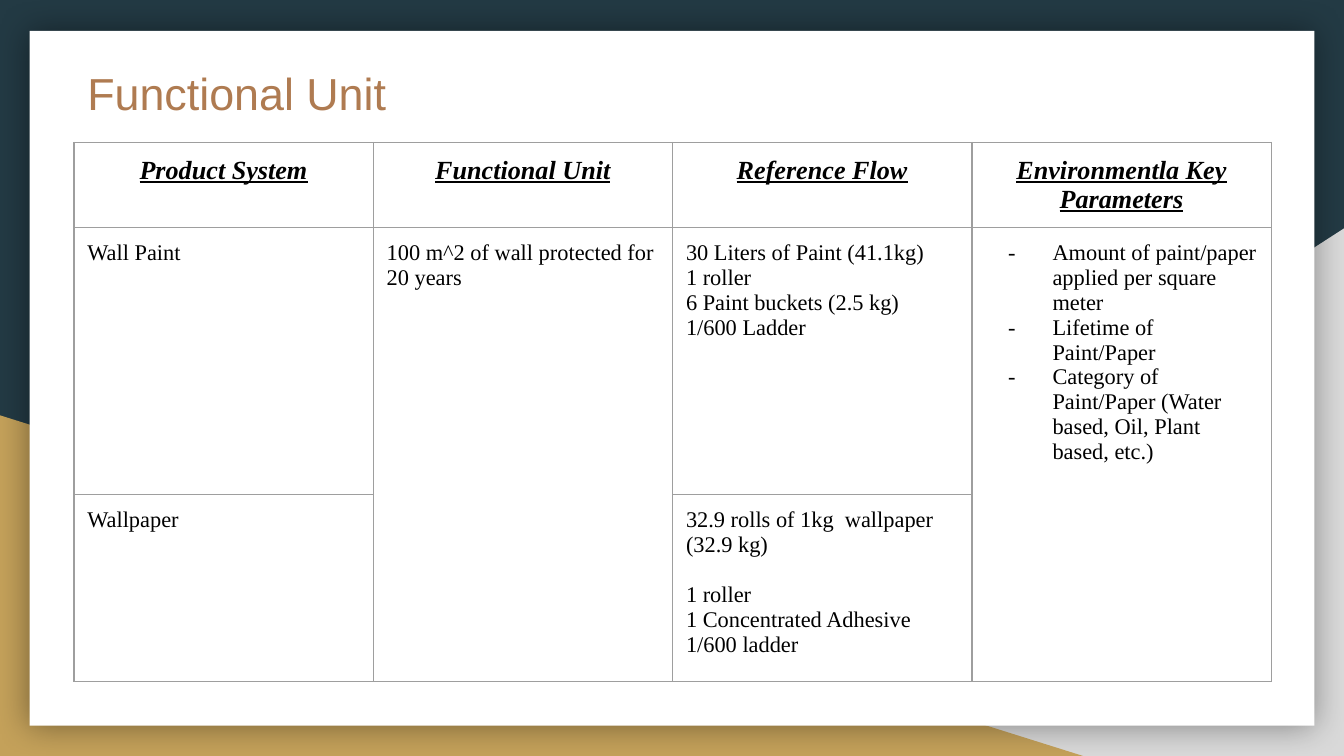
from lxml import etree
from pptx import Presentation
from pptx import util as u
from pptx.dml.color import RGBColor
from pptx.enum import shapes, text
from pptx.oxml import parse_xml
from pptx.oxml.ns import nsdecls, qn

HUES = {"back": "233A44", "gray": "D9D9D9", "gold": "C4A15A", "page": "FFFFFF",
        "title": "AF7B51", "ink": "000000", "rule": "9E9E9E"}
WIDE = 10
HIGH = WIDE * 9 / 16
COLS, ROWS = [8.91 / 4] * 4, [0.63, 1.99, 1.39]
PAD = u.Inches(0.1)
SERIF = "Times New Roman"
HEADS = ["Product System", "Functional Unit", "Reference Flow",
         "Environmentla Key Parameters"]
BODY = [
    [["Wall Paint"],
     ["100 m^2 of wall protected for 20 years"],
     ["30 Liters of Paint (41.1kg)", "1 roller", "6 Paint buckets (2.5 kg)",
      "1/600 Ladder"],
     ["Amount of paint/paper applied per square meter",
      "Lifetime of Paint/Paper",
      "Category of Paint/Paper (Water based, Oil, Plant based, etc.)"]],
    [["Wallpaper"],
     [],
     ["32.9 rolls of 1kg  wallpaper (32.9 kg)", "1 roller",
      "1 Concentrated Adhesive", "1/600 ladder"],
     []],
]
OPEN = (1, 3)  # columns whose two body cells have no rule between them


def rgb(name):
    return RGBColor.from_string(HUES[name])


def dash(para):
    """Give the paragraph a hanging dash bullet."""
    props = para._p.get_or_add_pPr()
    props.set("marL", str(u.Inches(0.5)))
    props.set("indent", str(u.Inches(-0.33)))
    hue = etree.SubElement(props, qn("a:buClr"))
    etree.SubElement(hue, qn("a:srgbClr"), val=HUES["ink"])
    etree.SubElement(props, qn("a:buFont"), typeface=SERIF)
    etree.SubElement(props, qn("a:buChar"), char="-")


def write(frame, lines, size=12, face=SERIF, hue="ink",
          head=False, dashed=False, align=None):
    for i, line in enumerate(lines):
        para = frame.paragraphs[0] if i == 0 else frame.add_paragraph()
        if dashed:
            dash(para)
        if align is not None:
            para.alignment = align
        run = para.add_run()
        run.text = line
        font = run.font
        font.size, font.name = u.Pt(size), face
        font.color.rgb = rgb(hue)
        font.bold = font.italic = font.underline = head


def block(slide, kind, box, hue, flip=False):
    shape = slide.shapes.add_shape(kind, *map(u.Inches, box))
    shape.shadow.inherit = False
    shape.fill.solid()
    shape.fill.fore_color.rgb = rgb(hue)
    shape.line.fill.background()
    if flip:
        shape._element.spPr.find(qn("a:xfrm")).set("flipH", "1")
    return shape


def glow(shape):
    """Add a soft shadow on all sides."""
    effects = shape._element.spPr.find(qn("a:effectLst"))
    effects.append(parse_xml(
        f'<a:outerShdw {nsdecls("a")} blurRad="{u.Pt(18)}" dist="0" algn="ctr" rotWithShape="0">'
        f'<a:srgbClr val="{HUES["ink"]}"><a:alpha val="40000"/></a:srgbClr></a:outerShdw>'))


def edge(cell, skip=""):
    """Rule the four sides of a cell, save the skipped one."""
    props = cell._tc.get_or_add_tcPr()
    for side in "LRTB":
        line = etree.SubElement(props, qn(f"a:ln{side}"), w=str(u.Pt(0.75)))
        if side == skip:
            etree.SubElement(line, qn("a:noFill"))
        else:
            fill = etree.SubElement(line, qn("a:solidFill"))
            etree.SubElement(fill, qn("a:srgbClr"), val=HUES["rule"])


def backdrop(slide):
    fill = slide.background.fill
    fill.solid()
    fill.fore_color.rgb = rgb("back")
    kind = shapes.MSO_SHAPE
    block(slide, kind.RIGHT_TRIANGLE, (3.92, 1.7, WIDE - 3.92, HIGH - 1.7), "gray", flip=True)
    block(slide, kind.RIGHT_TRIANGLE, (0, 3.09, 8.06, HIGH - 3.09), "gold")
    glow(block(slide, kind.RECTANGLE, (0.22, 0.23, WIDE - 0.44, 5.17), "page"))


def heading(slide, words):
    title = slide.shapes.title
    title.left, title.top, title.width, title.height = map(u.Inches, (0.55, 0.39, 9.15, 0.75))
    frame = title.text_frame
    frame.margin_left = frame.margin_right = frame.margin_top = frame.margin_bottom = PAD
    frame.vertical_anchor = text.MSO_ANCHOR.TOP
    write(frame, [words], size=24, face="Arial", hue="title", align=text.PP_ALIGN.LEFT)
    slide.shapes._spTree.append(title._element)  # in front of the page


def grid(slide):
    box = (0.55, 1.06, sum(COLS), sum(ROWS))
    table = slide.shapes.add_table(len(ROWS), len(COLS), *map(u.Inches, box)).table
    table.first_row = table.horz_banding = False
    for col, wide in zip(table.columns, COLS):
        col.width = u.Inches(wide)
    for row, high in zip(table.rows, ROWS):
        row.height = u.Inches(high)
    for r, line in enumerate([[[head] for head in HEADS]] + BODY):
        for c, lines in enumerate(line):
            cell = table.cell(r, c)
            cell.margin_left = cell.margin_right = PAD
            cell.margin_top = cell.margin_bottom = PAD
            edge(cell, {1: "B", 2: "T"}.get(r, "") if c in OPEN else "")
            cell.fill.background()
            top = r == 0
            write(cell.text_frame, lines, size=14 if top else 12, head=top,
                  dashed=not top and c == 3,
                  align=text.PP_ALIGN.CENTER if top else None)
    table.cell(2, 2).text_frame.paragraphs[1].space_before = u.Pt(13.3)


def main():
    deck = Presentation()
    deck.slide_width, deck.slide_height = u.Inches(WIDE), u.Inches(HIGH)
    slide = deck.slides.add_slide(deck.slide_layouts[5])
    backdrop(slide)
    heading(slide, "Functional Unit")
    grid(slide)
    deck.save("out.pptx")


if __name__ == "__main__":
    main()
